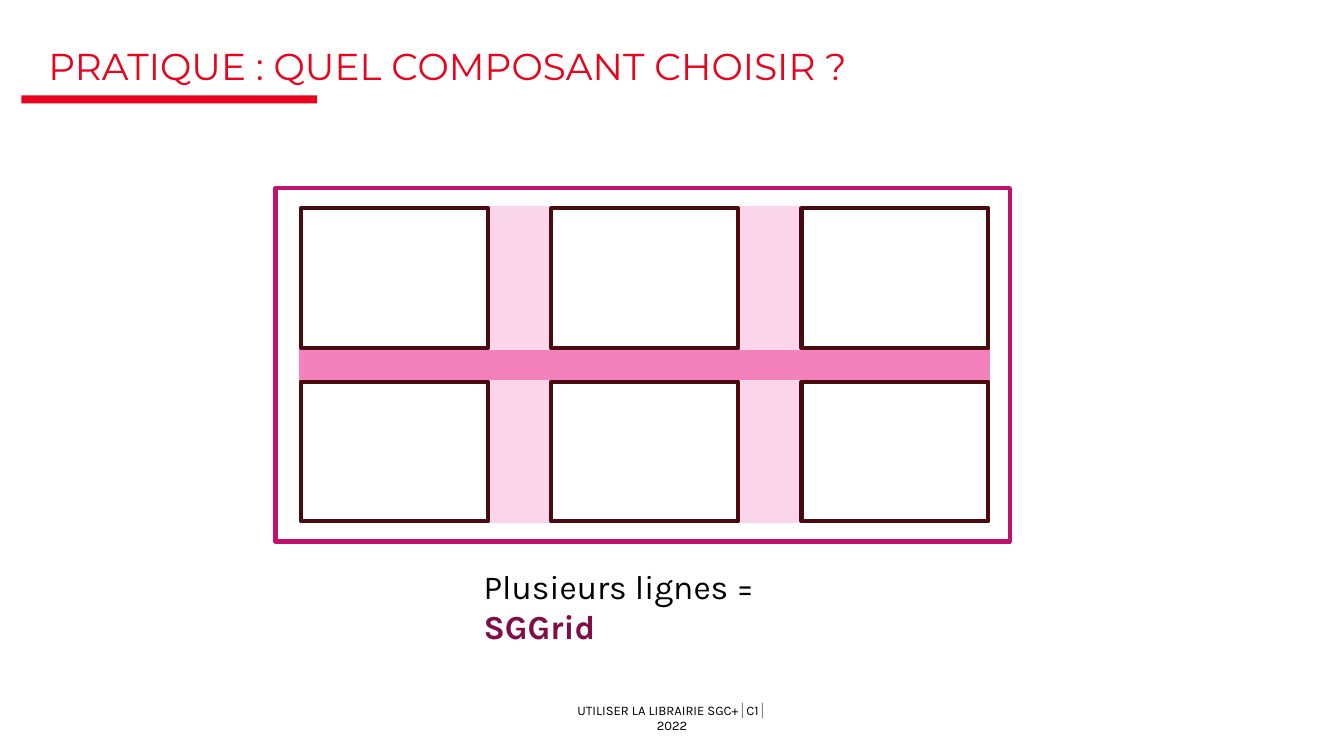
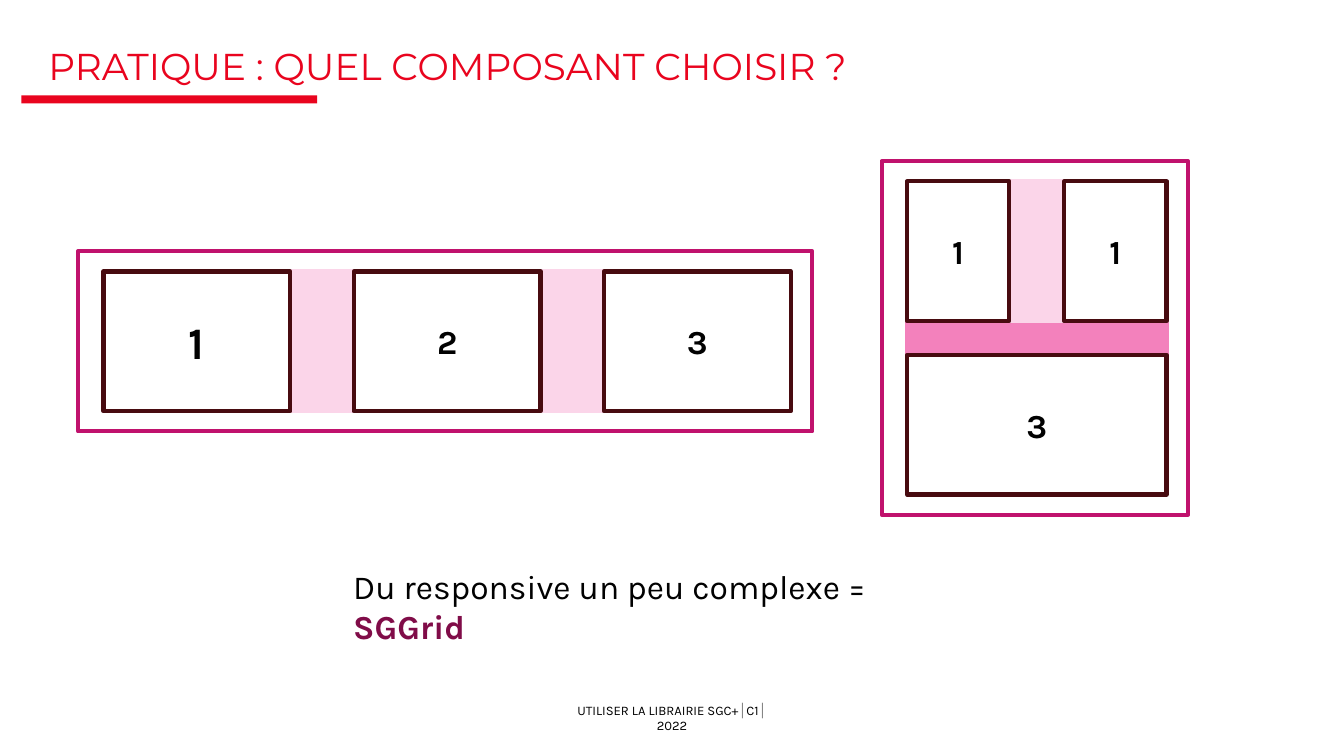
from pptx import Presentation
from pptx.dml.color import RGBColor
from pptx.enum.shapes import MSO_SHAPE
from pptx.enum.text import MSO_ANCHOR, MSO_AUTO_SIZE, PP_ALIGN
from pptx.util import Inches, Pt

HUES = {
    "red": "E9041E", "frame": "C0126D", "row": "F381BC", "col": "FBD5E9",
    "cell": "480B10", "name": "800C48", "text": "010101", "bar": "808080",
    "white": "FFFFFF",
}
HEAD = "PRATIQUE : QUEL COMPOSANT CHOISIR ?"
FOOT = [("UTILISER LA LIBRAIRIE SGC+", "text"), ("│", "bar"),
        ("C1", "text"), ("│ ", "bar"), ("2022", "text")]

# Wide slides, 16 to 9
deck = Presentation()
deck.slide_width = Inches(10)
deck.slide_height = deck.slide_width * 9 // 16

# The grid has 100 columns; its rows are as high as its columns are wide
UNIT = deck.slide_width / 100
PAD_X, PAD_Y, EDGE = 1.9, 1.5, 3.5
CELL_H, STEP_Y = 10.4, 12.9

# Panel: left, top, cell width, column step, column count,
# start and width of the pale strip, labels by row
THREE = (13.9, 18.62, 3, 7.1, 30.8)
TWO = (7.6, 11.7, 2, 2.2, 17.1)
SLIDES = [
    ("Plusieurs lignes = ", 35, 27.4,
     [(20.5, 14, *THREE, [["", "", ""], ["", "", ""]])]),
    ("Du responsive un peu complexe = ", 25.3, 45.5,
     [(5.8, 18.7, *THREE, [["1", "2", "3"]]),
      (65.6, 12, *TWO, [["1", "1"], ["3"]])]),
]


def box(page, x, y, w, h, fill=None, line=None):
    item = page.shapes.add_shape(
        MSO_SHAPE.RECTANGLE, *[round(n * UNIT) for n in (x, y, w, h)])
    item.shadow.inherit = False
    if fill:
        item.fill.solid()
        item.fill.fore_color.rgb = RGBColor.from_string(HUES[fill])
    else:
        item.fill.background()
    if line:
        item.line.color.rgb = RGBColor.from_string(HUES[line])
        item.line.width = Pt(2.25)
    else:
        item.line.fill.background()
    return item


def write(para, text, size, hue, bold=False, face="Karla"):
    run = para.add_run()
    run.text = text
    run.font.name, run.font.size, run.font.bold = face, Pt(size), bold
    run.font.color.rgb = RGBColor.from_string(HUES[hue])


for lead, cap_x, cap_w, panels in SLIDES:
    page = deck.slides.add_slide(deck.slide_layouts[5])

    # Title and red rule
    box(page, 1.6, 7.1, 22, 0.6, "red")
    title = page.shapes.title
    title.left, title.top, title.width, title.height = [
        round(n * UNIT) for n in (3.6, 3.9, 92.9, 2.6)]
    frame = title.text_frame
    frame.margin_left = frame.margin_right = 0
    frame.margin_top = frame.margin_bottom = 0
    frame.auto_size = MSO_AUTO_SIZE.NONE
    frame.vertical_anchor = MSO_ANCHOR.BOTTOM
    para = frame.paragraphs[0]
    para.alignment, para.line_spacing = PP_ALIGN.LEFT, 0.75
    write(para, HEAD, 20, "red", face="Montserrat")

    # Panels: frame, row gap, column gaps, cells
    for x, y, cell_w, step, count, start, strip, rows in panels:
        inner = (count - 1) * step + cell_w
        box(page, x, y, inner + EDGE, len(rows) * STEP_Y + 0.5, line="frame")
        x, y = x + PAD_X, y + PAD_Y
        for i in range(1, len(rows)):
            box(page, x, y + i * STEP_Y - 2.9, inner, 4, "row", "row")
        for i, labels in enumerate(rows):
            top = y + i * STEP_Y
            wide = cell_w if len(labels) > 1 else inner
            if len(labels) > 1:
                box(page, x + start, top, strip, CELL_H, "col", "col")
            for j, label in enumerate(labels):
                cell = box(page, x + j * step, top, wide, CELL_H,
                           "white", "cell")
                if label:
                    para = cell.text_frame.paragraphs[0]
                    para.alignment = PP_ALIGN.CENTER
                    big = label == "1" and count == 3
                    write(para, label, 24 if big else 18, "text", True)

    # Caption
    note = page.shapes.add_textbox(
        *[round(n * UNIT) for n in (cap_x, 41.6, cap_w, 4)])
    note.text_frame.word_wrap = True
    para = note.text_frame.paragraphs[0]
    write(para, lead, 18, "text")
    write(para, "SGGrid", 18, "name", True)

    # Footer
    foot = page.shapes.add_textbox(
        *[round(n * UNIT) for n in (42, 52.8, 16, 1.2)])
    frame = foot.text_frame
    frame.word_wrap = True
    frame.margin_left = frame.margin_right = 0
    frame.margin_top = frame.margin_bottom = 0
    frame.vertical_anchor = MSO_ANCHOR.MIDDLE
    para = frame.paragraphs[0]
    para.alignment = PP_ALIGN.CENTER
    for text, hue in FOOT:
        write(para, text, 7, hue)

deck.save("out.pptx")
